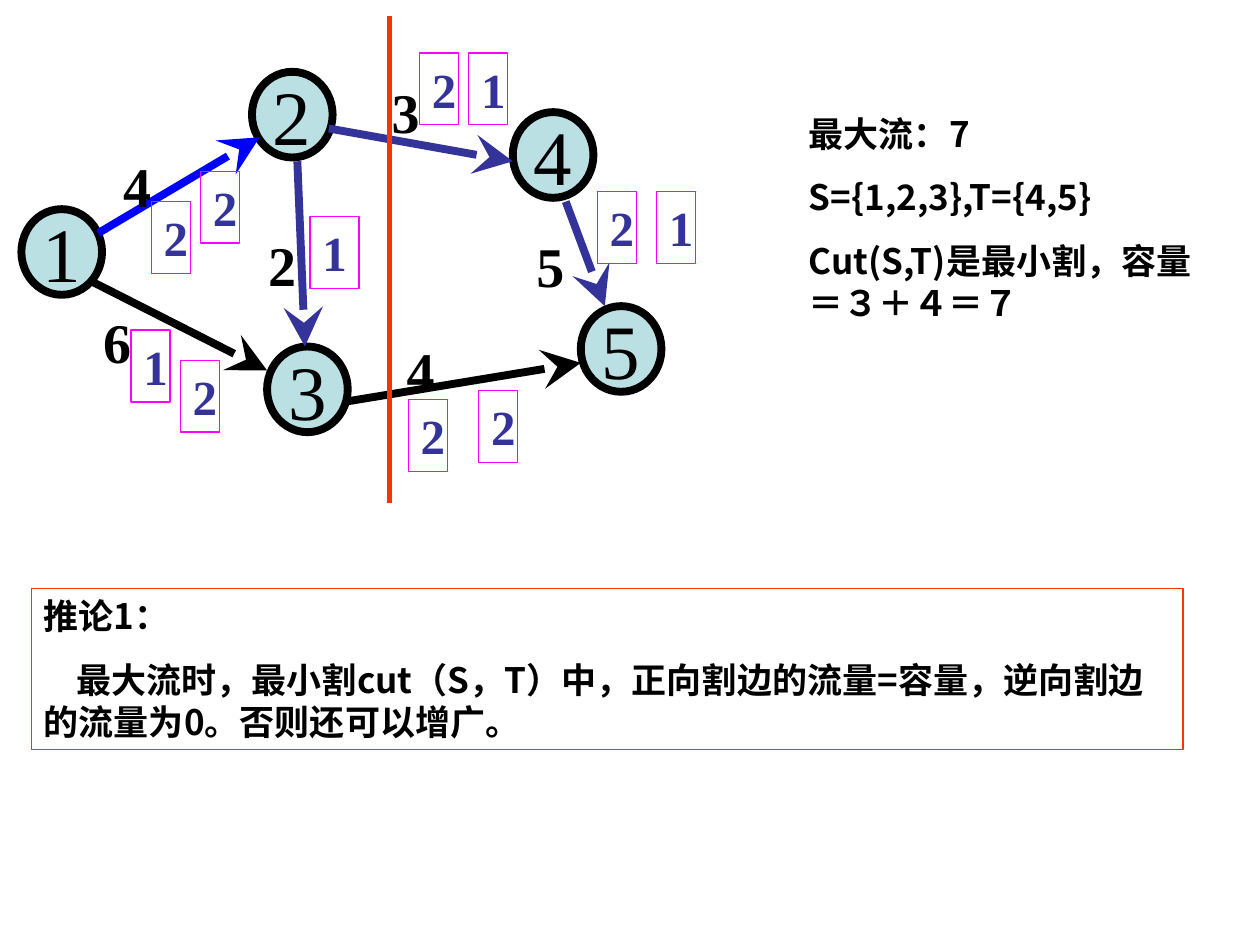
from typing import NamedTuple

from lxml import etree
from pptx import Presentation
from pptx.dml.color import RGBColor
from pptx.enum.shapes import MSO_CONNECTOR, MSO_SHAPE
from pptx.enum.text import MSO_ANCHOR, PP_ALIGN
from pptx.oxml.ns import qn
from pptx.util import Inches, Pt

STRAIGHT = MSO_CONNECTOR.STRAIGHT
OVAL, RECTANGLE = MSO_SHAPE.OVAL, MSO_SHAPE.RECTANGLE
TOP, MIDDLE = MSO_ANCHOR.TOP, MSO_ANCHOR.MIDDLE
LEFT, CENTER = PP_ALIGN.LEFT, PP_ALIGN.CENTER

SERIF, SANS = "Times New Roman", "Noto Sans CJK SC"
BLACK, BLUE, INDIGO = "000000", "0000FF", "333399"
PALE_TEAL, MAGENTA, ORANGE_RED = "BBE0E3", "FF00FF", "FF3300"
NODE_SIZE = (0.64, 0.68)
FLOW_HEIGHT = 0.57
CAPACITY_SIZE = (0.37, 0.64)


class Style(NamedTuple):
    font: str
    size: float
    color: str
    bold: bool = True
    align: PP_ALIGN = LEFT


class Node(NamedTuple):
    label: str
    left: float
    top: float


class Edge(NamedTuple):
    start: tuple[float, float]
    end: tuple[float, float]
    color: str


class Capacity(NamedTuple):
    value: str
    left: float
    top: float


class Flow(NamedTuple):
    value: str
    left: float
    top: float
    width: float = 0.31


NODE_STYLE = Style(SERIF, 44, BLACK, bold=False, align=CENTER)
CAPACITY_STYLE = Style(SERIF, 32, BLACK)
FLOW_STYLE = Style(SERIF, 28, INDIGO)
PROSE_STYLE = Style(SANS, 20, BLACK)

NODES = [
    Node("1", 0.17, 1.66),
    Node("2", 2.0, 0.57),
    Node("4", 4.07, 0.89),
    Node("3", 2.12, 2.75),
    Node("5", 4.61, 2.43),
]
EDGE_BEHIND_NODES = Edge((2.73, 3.19), (4.61, 2.88), BLACK)
EDGES = [
    Edge((0.78, 1.85), (2.06, 1.09), BLUE),
    Edge((0.72, 2.23), (2.12, 2.94), BLACK),
    Edge((2.61, 1.02), (4.07, 1.28), INDIGO),
    Edge((4.49, 1.6), (4.8, 2.43), INDIGO),
    Edge((2.36, 1.28), (2.42, 2.75), INDIGO),
]
CAPACITIES = [
    Capacity("6", 0.72, 2.39),
    Capacity("4", 0.88, 1.15),
    Capacity("2", 2.03, 1.78),
    Capacity("3", 3.01, 0.57),
    Capacity("4", 3.13, 2.62),
    Capacity("5", 4.16, 1.79),
]
FLOWS = [
    Flow("2", 1.2, 1.6),
    Flow("1", 2.46, 1.72, 0.39),
    Flow("2", 3.8, 3.1),
    Flow("2", 1.59, 1.36),
    Flow("2", 3.33, 0.42),
    Flow("2", 4.74, 1.52),
    Flow("1", 3.72, 0.42),
    Flow("1", 5.21, 1.52),
    Flow("1", 1.04, 2.62),
    Flow("2", 3.24, 3.17),
    Flow("2", 1.43, 2.86),
]
RESULT = ["最大流：7", "S={1,2,3},T={4,5}", "Cut(S,T)是最小割，容量＝３＋４＝７"]
COROLLARY = [
    "推论1：",
    "最大流时，最小割cut（S，T）中，正向割边的流量=容量，逆向割边的流量为0。否则还可以增广。",
]


def rgb(color: str) -> RGBColor:
    return RGBColor.from_string(color)


def write(frame, paragraphs: list[str], style: Style, wrap: bool = True) -> None:
    frame.word_wrap = wrap
    for index, text in enumerate(paragraphs):
        paragraph = frame.paragraphs[0] if index == 0 else frame.add_paragraph()
        paragraph.alignment = style.align
        if index:
            paragraph.space_before = Pt(12.5)
        run = paragraph.add_run()
        run.text = text
        font = run.font
        font.name, font.size, font.bold = style.font, Pt(style.size), style.bold
        font.color.rgb = rgb(style.color)
        east_asian = etree.SubElement(run._r.rPr, qn("a:ea"))
        east_asian.set("typeface", style.font)


def add_text(slide, left: float, top: float, width: float, height: float,
             paragraphs: list[str], style: Style) -> None:
    box = slide.shapes.add_textbox(
        Inches(left), Inches(top), Inches(width), Inches(height))
    write(box.text_frame, paragraphs, style)


def add_frame(slide, left: float, top: float, width: float, height: float,
              color: str, paragraphs: list[str], style: Style):
    """Draw an unfilled rectangle with a thin outline around its text."""
    frame = slide.shapes.add_shape(
        RECTANGLE, Inches(left), Inches(top), Inches(width), Inches(height))
    frame.shadow.inherit = False
    frame.fill.background()
    frame.line.color.rgb = rgb(color)
    frame.line.width = Pt(0.75)
    frame.text_frame.vertical_anchor = TOP
    write(frame.text_frame, paragraphs, style)
    return frame


def add_node(slide, node: Node) -> None:
    width, height = NODE_SIZE
    circle = slide.shapes.add_shape(
        OVAL, Inches(node.left), Inches(node.top), Inches(width), Inches(height))
    circle.shadow.inherit = False
    circle.fill.solid()
    circle.fill.fore_color.rgb = rgb(PALE_TEAL)
    circle.line.color.rgb = rgb(BLACK)
    circle.line.width = Pt(4.5)
    circle.text_frame.vertical_anchor = MIDDLE
    write(circle.text_frame, [node.label], NODE_STYLE, wrap=False)


def add_line(slide, edge: Edge, width: float):
    line = slide.shapes.add_connector(
        STRAIGHT, *(Inches(value) for value in edge.start + edge.end))
    line.line.color.rgb = rgb(edge.color)
    line.line.width = Pt(width)
    etree.SubElement(line._element.spPr, qn("a:effectLst"))
    return line


def add_arrow(slide, edge: Edge) -> None:
    arrow = add_line(slide, edge, 4.5)
    head = etree.SubElement(arrow.line._get_or_add_ln(), qn("a:tailEnd"))
    for key, value in (("type", "stealth"), ("w", "lg"), ("len", "lg")):
        head.set(key, value)


def main() -> None:
    deck = Presentation()
    deck.slide_width, deck.slide_height = Inches(10), Inches(7.5)
    slide = deck.slides.add_slide(deck.slide_layouts[6])

    add_arrow(slide, EDGE_BEHIND_NODES)
    for node in NODES:
        add_node(slide, node)
    for edge in EDGES:
        add_arrow(slide, edge)
    for capacity in CAPACITIES:
        add_text(slide, capacity.left, capacity.top, *CAPACITY_SIZE,
                 [capacity.value], CAPACITY_STYLE)
    for flow in FLOWS:
        add_frame(slide, flow.left, flow.top, flow.width, FLOW_HEIGHT,
                  MAGENTA, [flow.value], FLOW_STYLE)

    add_text(slide, 6.32, 0.84, 3.35, 1.78, RESULT, PROSE_STYLE)
    add_line(slide, Edge((3.09, 0.13), (3.09, 3.99), ORANGE_RED), 3)
    corollary = add_frame(slide, 0.25, 4.67, 9.14, 1.28,
                          ORANGE_RED, COROLLARY, PROSE_STYLE)
    statement = corollary.text_frame.paragraphs[1]
    statement._p.get_or_add_pPr().set("indent", str(Inches(0.26)))

    deck.save("out.pptx")


if __name__ == "__main__":
    main()
